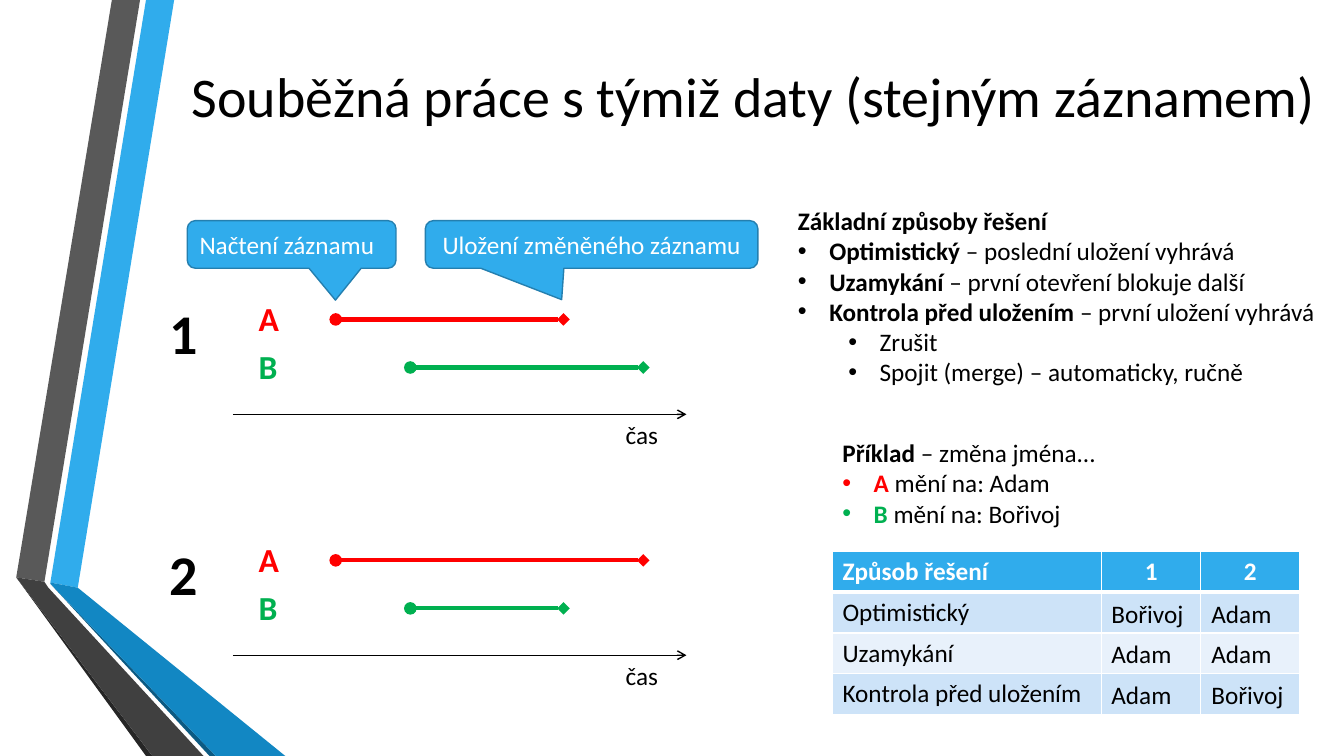
import lxml.etree
import pptx
import pptx.dml.color
import pptx.enum.shapes
import pptx.enum.text
import pptx.oxml.ns
import pptx.util

Cm = pptx.util.Cm
Pt = pptx.util.Pt
ALIGN = pptx.enum.text.PP_ALIGN
ANCHOR = pptx.enum.text.MSO_ANCHOR
CALLOUT = pptx.enum.shapes.MSO_SHAPE.ROUNDED_RECTANGULAR_CALLOUT
STRAIGHT = pptx.enum.shapes.MSO_CONNECTOR.STRAIGHT

COLORS = {
    "black": "000000", "white": "FFFFFF", "red": "FF0000", "green": "00B050",
    "blue": "30ACEC", "blue edge": "247FAF", "blue fold": "1287C3", "blue shade": "0C5A82",
    "grey": "595959", "grey fold": "404040", "grey shade": "262626",
    "band dark": "CDE3F8", "band light": "E8F1FB",
}
RIBBONS = [
    ("blue", [(1.27, 14.68), (1.96, 14.81), (4.39, 0), (3.68, 0)]),
    ("grey", [(3.53, 0), (2.82, 0), (0.41, 14.55), (1.12, 14.66)]),
    ("grey shade", [(0.41, 14.55), (3.68, 19.05), (3.84, 19.05)]),
    ("blue shade", [(1.27, 14.71), (5.28, 19.05), (5.44, 19.05)]),
    ("blue fold", [(1.27, 14.71), (5.44, 19.05), (7.19, 19.05), (1.96, 14.81), (1.27, 14.68)]),
    ("grey fold", [(5.13, 19.05), (1.22, 14.81), (1.12, 14.66), (0.41, 14.55), (3.84, 19.05)]),
]
BODY = {"size": Pt(18), "name": "Calibri", "bold": False}
BOLD = {"bold": True}
EARLY_SAVE, LATE_SAVE = 14.2, 16.21

# Paragraphs: (bullet level or None, [(text, color, format), ...])
SOLUTIONS = [
    (None, [("Základní způsoby řešení", "black", BOLD)]),
    (0, [("Optimistický", "black", BOLD), (" – poslední uložení vyhrává", "black", {})]),
    (0, [("Uzamykání", "black", BOLD), (" – první otevření blokuje další", "black", {})]),
    (0, [("Kontrola před uložením ", "black", BOLD), ("– první uložení vyhrává", "black", {})]),
    (1, [("Zrušit", "black", {})]),
    (1, [("Spojit (merge) – automaticky, ručně", "black", {})]),
]
EXAMPLE = [
    (None, [("Příklad", "black", BOLD), (" – změna jména...", "black", {})]),
    (0, [("A", "red", BOLD), (" mění na: Adam", "black", {})]),
    (0, [("B", "green", BOLD), (" mění na: Bořivoj", "black", {})]),
]
HEADINGS = ["Způsob řešení", "1", "2"]
METHODS = ["Optimistický", "Uzamykání", "Kontrola před uložením"]
OUTCOMES = [("Bořivoj", "Adam"), ("Adam", "Adam"), ("Adam", "Bořivoj")]


def rgb(color):
    return pptx.dml.color.RGBColor.from_string(COLORS[color])


def add_xml(parent, tag, **attributes):
    return lxml.etree.SubElement(parent, pptx.oxml.ns.qn(tag), attributes)


def apply(target, formats):
    for name, value in formats.items():
        setattr(target, name, value)


def fill(target, color):
    target.fill.solid()
    target.fill.fore_color.rgb = rgb(color)


def add_run(paragraph, text, color="black", formats=BODY):
    run = paragraph.add_run()
    run.text = text
    apply(run.font, {**BODY, **formats})
    run.font.color.rgb = rgb(color)


def add_bullet(paragraph, level):
    paragraph.level = level
    properties = paragraph._p.get_or_add_pPr()
    properties.set("marL", str(Cm(0.79 + 1.27 * level)))
    properties.set("indent", str(-Cm(0.79)))
    add_xml(properties, "a:buFont", typeface="Arial")
    add_xml(properties, "a:buChar", char="•")


def add_text(slide, box, paragraphs):
    """Unwrapped text box; box is left, top, width, height in centimetres."""
    frame = slide.shapes.add_textbox(*map(Cm, box)).text_frame
    apply(frame, {"word_wrap": False,
                  "auto_size": pptx.enum.text.MSO_AUTO_SIZE.SHAPE_TO_FIT_TEXT})
    for index, (level, runs) in enumerate(paragraphs):
        paragraph = frame.add_paragraph() if index else frame.paragraphs[0]
        if level is not None:
            add_bullet(paragraph, level)
        for run in runs:
            add_run(paragraph, *run)


def add_label(slide, box, text, color="black", formats=BODY):
    add_text(slide, box, [(None, [(text, color, formats)])])


def add_title(slide, text):
    frame = slide.shapes.add_textbox(Cm(4.11), Cm(0.53), Cm(29.75), Cm(3.73)).text_frame
    apply(frame, {"word_wrap": True, "vertical_anchor": ANCHOR.MIDDLE})
    frame.paragraphs[0].alignment = ALIGN.CENTER
    add_run(frame.paragraphs[0], text, "black", {"size": Pt(40)})


def add_ribbon(slide, color, corners):
    points = [(Cm(x), Cm(y)) for x, y in corners]
    builder = slide.shapes.build_freeform(*points[0])
    builder.add_line_segments(points[1:], close=True)
    ribbon = builder.convert_to_shape()
    fill(ribbon, color)
    ribbon.line.fill.background()
    ribbon.shadow.inherit = False


def add_callout(slide, left, width, tail, alignment, text):
    callout = slide.shapes.add_shape(CALLOUT, Cm(left), Cm(5.56), Cm(width), Cm(1.2))
    for index, value in enumerate((*tail, 0.17)):
        callout.adjustments[index] = value
    fill(callout, "blue")
    callout.line.color.rgb = rgb("blue edge")
    callout.line.width = Pt(1)
    callout.shadow.inherit = False
    frame = callout.text_frame
    apply(frame, {"word_wrap": True, "vertical_anchor": ANCHOR.MIDDLE})
    frame.paragraphs[0].alignment = alignment
    add_run(frame.paragraphs[0], text, "white")


def add_line(slide, start, end, y, color, width, ends):
    """Horizontal line; ends maps headEnd and tailEnd to arrowhead types."""
    line = slide.shapes.add_connector(STRAIGHT, Cm(start), Cm(y), Cm(end), Cm(y))
    line.line.color.rgb = rgb(color)
    line.line.width = Pt(width)
    properties = line.element.spPr
    outline = properties.find(pptx.oxml.ns.qn("a:ln"))
    for tag, kind in ends.items():
        add_xml(outline, f"a:{tag}", type=kind)
    add_xml(properties, "a:effectLst")


def add_scenario(slide, number, top, save_a, save_b):
    """Timeline on which users A and B load and save the same record."""
    add_label(slide, (4.01, top, 1.22, 1.96), number, "black", {"size": Pt(40), "bold": True})
    users = [("A", "red", 8.46, save_a), ("B", "green", 10.34, save_b)]
    for index, (user, color, load, save) in enumerate(users):
        y = top + 1.21 * index
        add_label(slide, (6.27, y, 1.07, 1.27), user, color, {"size": Pt(24), "bold": True})
        add_line(slide, load, save, y + 0.66, color, 3,
                 {"headEnd": "oval", "tailEnd": "diamond"})
    axis = top + 3.05
    add_line(slide, 5.87, 17.3, axis, "black", 1, {"tailEnd": "arrow"})
    add_label(slide, (15.52, axis, 1.37, 1.02), "čas")


def style_cell(cell, row, color):
    """White borders, thicker below the heading row, and a plain fill."""
    cell.vertical_anchor = ANCHOR.MIDDLE
    properties = cell._tc.get_or_add_tcPr()
    widths = {"lnL": 1, "lnR": 1, "lnT": 3 if row == 1 else 1, "lnB": 3 if row == 0 else 1}
    for side, width in widths.items():
        border = add_xml(properties, f"a:{side}", w=str(Pt(width)))
        add_xml(add_xml(border, "a:solidFill"), "a:srgbClr", val=COLORS["white"])
    fill(cell, color)


def add_methods_table(slide):
    left, top, row_height = 20.98, 13.89, 1.03
    table = slide.shapes.add_table(4, 3, Cm(left), Cm(top), Cm(11.78), Cm(4 * row_height)).table
    table.horz_banding = False
    for column, width in zip(table.columns, (6.78, 2.5, 2.5)):
        column.width = Cm(width)
    for row, color in enumerate(("blue", "band dark", "band light", "band dark")):
        table.rows[row].height = Cm(row_height)
        for column in range(3):
            style_cell(table.cell(row, column), row, color)
    for column, heading in enumerate(HEADINGS):
        paragraph = table.cell(0, column).text_frame.paragraphs[0]
        paragraph.alignment = ALIGN.CENTER if column else ALIGN.LEFT
        add_run(paragraph, heading, "white", BOLD)
    for row, method in enumerate(METHODS, 1):
        add_run(table.cell(row, 0).text_frame.paragraphs[0], method)
        for column, name in enumerate(OUTCOMES[row - 1]):
            width = 2.39 if name == "Bořivoj" else 2.11
            add_label(slide, (27.76 + 2.52 * column, top + 0.02 + row_height * row, width, 1.02),
                      name)


def main():
    presentation = pptx.Presentation()
    apply(presentation, {"slide_width": Cm(33.87), "slide_height": Cm(19.05)})
    slide = presentation.slides.add_slide(presentation.slide_layouts[6])
    for color, corners in RIBBONS:
        add_ribbon(slide, color, corners)
    add_title(slide, "Souběžná práce s týmiž daty (stejným záznamem)")
    add_callout(slide, 4.72, 5.26, (0.21, 1.17), ALIGN.LEFT, "Načtení záznamu")
    add_callout(slide, 10.72, 8.38, (-0.09, 1.16), ALIGN.CENTER, "Uložení změněného záznamu")
    add_scenario(slide, "1", 7.39, EARLY_SAVE, LATE_SAVE)
    add_scenario(slide, "2", 13.46, LATE_SAVE, EARLY_SAVE)
    add_text(slide, (19.86, 5.05, 14, 4.88), SOLUTIONS)
    add_text(slide, (20.98, 10.9, 7.11, 2.57), EXAMPLE)
    add_methods_table(slide)
    presentation.save("out.pptx")


if __name__ == "__main__":
    main()
